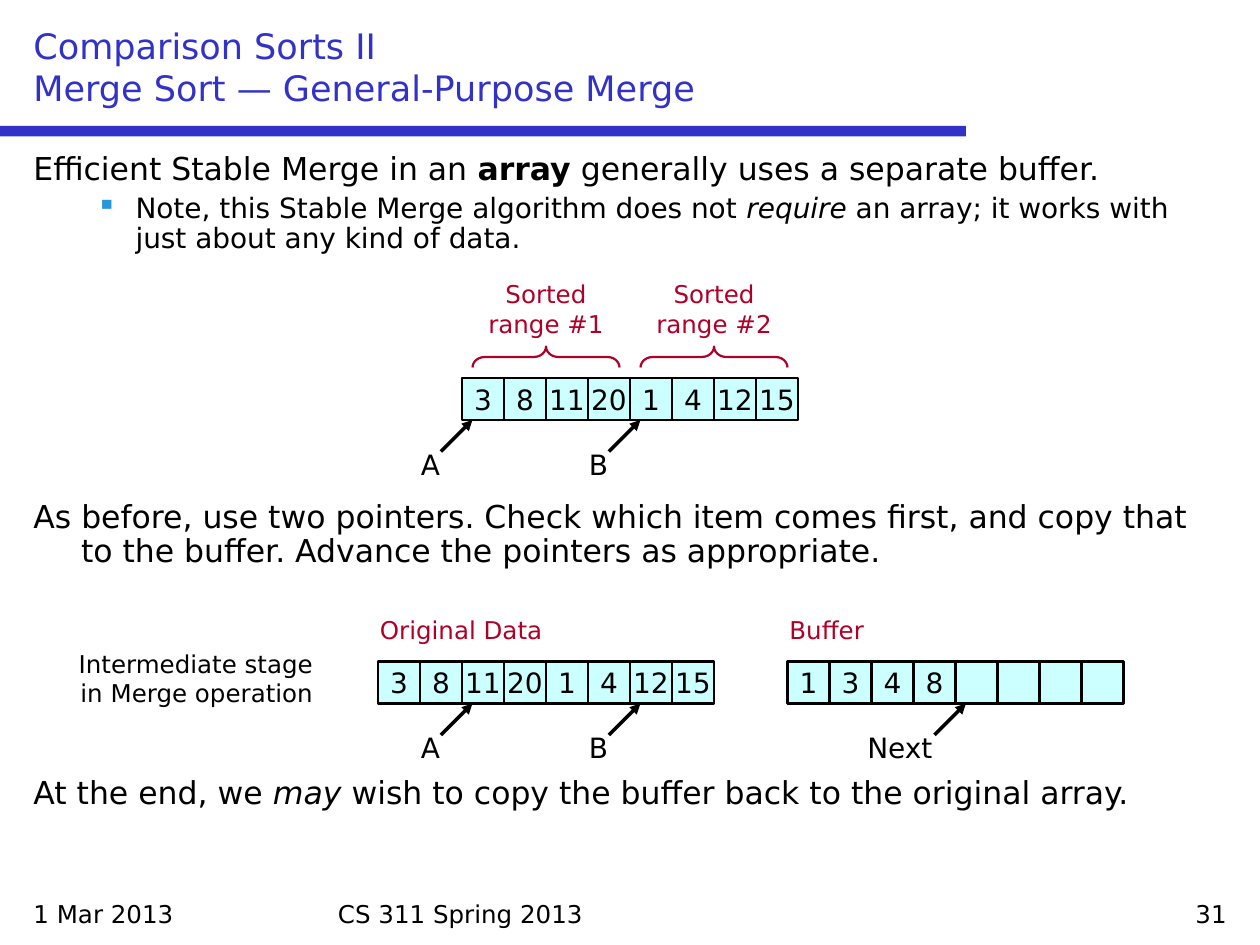
import pptx
import pptx.util
import pptx.dml.color
import pptx.enum.shapes
import pptx.enum.text
import pptx.oxml
import pptx.oxml.ns

FONT = "DejaVu Sans"
BLACK, BLUE, RED, CYAN, BULLET = "000000", "3232C8", "AF0028", "CCFFFF", "2896DC"
SHAPE = pptx.enum.shapes.MSO_SHAPE
ALIGN = pptx.enum.text.PP_ALIGN
ANCHOR = pptx.enum.text.MSO_ANCHOR

TITLE = "Comparison Sorts II\nMerge Sort — General-Purpose Merge"
BODY = [
    dict(runs=[("Efficient Stable Merge in an ", ""), ("array", "b"),
               (" generally uses a separate buffer.", "")],
         size=18, margin=0.96, indent=-0.96, before=0),
    dict(runs=[("Note, this Stable Merge algorithm does not ", ""), ("require", "i"),
               (" an array; it works with just about any kind of data.", "")],
         size=16, margin=2.06, indent=-0.79, before=4, bullet="▪"),
    dict(runs=[("As before, use two pointers. Check which item comes first, and copy "
                "that to the buffer. Advance the pointers as appropriate.", "")],
         size=18, margin=0.96, indent=-0.96, before=141),
    dict(runs=[("At the end, we ", ""), ("may", "i"),
               (" wish to copy the buffer back to the original array.", "")],
         size=18, margin=0.96, indent=-0.96, before=119),
]
DATA = [3, 8, 11, 20, 1, 4, 12, 15]
ARRAYS = [
    (11, 9, DATA),
    (9, 15.75, DATA),
    (18.75, 15.75, [1, 3, 4, 8, "", "", "", ""]),
]
RANGES = [("Sorted\nrange #1", 11), ("Sorted\nrange #2", 15)]
POINTERS = [
    ("A", 11.25, 10, 1, ALIGN.CENTER),
    ("B", 15.25, 10, 1, ALIGN.CENTER),
    ("A", 11.25, 16.75, 1, ALIGN.CENTER),
    ("B", 15.25, 16.75, 1, ALIGN.CENTER),
    ("Next", 23, 16.75, 2, ALIGN.RIGHT),
]
LABELS = [
    ("Original Data", (8.75, 14.5, 5.5, 1), RED, ALIGN.LEFT),
    ("Buffer", (18.5, 14.5, 5.5, 1), RED, ALIGN.LEFT),
    ("Intermediate stage in Merge operation", (1.25, 15.3, 6.5, 1.75), BLACK, ALIGN.RIGHT),
    ("1 Mar 2013", (0.5, 21.25, 7, 1), BLACK, ALIGN.LEFT),
    ("CS 311 Spring 2013", (7.75, 21.25, 14.5, 1), BLACK, ALIGN.LEFT),
    ("31", (22.5, 21.25, 7, 1), BLACK, ALIGN.RIGHT),
]


def cells(n):
    return pptx.util.Cm(n * 25.4 / 30)


def box(*at):
    return [cells(n) for n in at]


def rgb(color):
    return pptx.dml.color.RGBColor.from_string(color)


def add_run(p, text, size, color=BLACK, style=""):
    r = p.add_run()
    r.text = text
    r.font.name, r.font.size = FONT, pptx.util.Pt(size)
    r.font.color.rgb = rgb(color)
    if style:
        r.font.bold, r.font.italic = style == "b", style == "i"


def write(sp, text, size=14, color=BLACK, align=ALIGN.LEFT, anchor=ANCHOR.TOP,
          wrap=True, inset=0.25):
    tf = sp.text_frame
    tf.word_wrap, tf.vertical_anchor = wrap, anchor
    tf.margin_left = tf.margin_right = pptx.util.Cm(inset)
    tf.margin_top = tf.margin_bottom = pptx.util.Cm(0.13)
    p = tf.paragraphs[0]
    p.alignment = align
    for i, line in enumerate(text.split("\n")):
        if i:
            p.add_line_break()
        add_run(p, line, size, color)


def add_text(s, text, at, **fmt):
    write(s.shapes.add_textbox(*box(*at)), text, **fmt)


def add_shape(s, kind, at, fill=None, line=None):
    sp = s.shapes.add_shape(kind, *box(*at))
    sp.shadow.inherit = False
    if fill:
        sp.fill.solid()
        sp.fill.fore_color.rgb = rgb(fill)
    else:
        sp.fill.background()
    if line:
        sp.line.color.rgb, sp.line.width = rgb(line), pptx.util.Pt(1.25)
    else:
        sp.line.fill.background()
    return sp


def child(parent, tag, **attrs):
    el = pptx.oxml.ns.qn("a:" + tag)
    el = parent.makeelement(el, attrs)
    parent.append(el)
    return el


def add_body(s):
    tf = s.shapes.add_textbox(*box(0.5, 3.5, 29, 17.5)).text_frame
    tf.word_wrap = True
    for i, item in enumerate(BODY):
        p = tf.add_paragraph() if i else tf.paragraphs[0]
        pPr = p._p.get_or_add_pPr()
        pPr.set("marL", str(pptx.util.Cm(item["margin"])))
        pPr.set("indent", str(pptx.util.Cm(item["indent"])))
        if "bullet" in item:
            p.level = 1
            child(child(pPr, "buClr"), "srgbClr", val=BULLET)
            child(pPr, "buChar", char=item["bullet"])
        p.line_spacing = 0.9
        p.space_before = pptx.util.Pt(item["before"])
        for text, style in item["runs"]:
            add_run(p, text, item["size"], style=style)


def add_array(s, left, top, values):
    for i, value in enumerate(values):
        sp = add_shape(s, SHAPE.RECTANGLE, (left + i, top, 1, 1), CYAN, BLACK)
        if value != "":
            write(sp, str(value), size=16, align=ALIGN.CENTER, anchor=ANCHOR.MIDDLE, wrap=False)


def add_range(s, text, left):
    sp = add_shape(s, SHAPE.LEFT_BRACE, (left + 1.75, 6.75, 0.5, 3.5), line=RED)
    sp.rotation = 90
    sp.adjustments[0] = 0.58
    add_text(s, text, (left, 6.5, 4, 1.75), color=RED, align=ALIGN.CENTER)


def add_pointer(s, text, x, y, width, align):
    cn = s.shapes.add_connector(pptx.enum.shapes.MSO_CONNECTOR.STRAIGHT,
                                *box(x - 0.75, y + 0.75, x, y))
    cn.line.color.rgb, cn.line.width = rgb(BLACK), pptx.util.Pt(2)
    child(cn.line._get_or_add_ln(), "tailEnd", type="triangle")
    child(cn._element.spPr, "effectLst")
    right = x - 0.5 if width == 1 else x - 0.8
    add_text(s, text, (right - width, y + 0.5, width, 1.1), size=16, align=align, inset=0)


def main():
    prs = pptx.Presentation()
    prs.slide_width, prs.slide_height = box(30, 22.5)
    s = prs.slides.add_slide(prs.slide_layouts[5])
    title = s.shapes.title
    title.left, title.top, title.width, title.height = box(0.5, 0.5, 29, 2.25)
    write(title, TITLE, size=20, color=BLUE, anchor=ANCHOR.BOTTOM)
    add_shape(s, SHAPE.RECTANGLE, (0, 3, 23, 0.25), fill=BLUE)
    add_body(s)
    for array in ARRAYS:
        add_array(s, *array)
    for item in RANGES:
        add_range(s, *item)
    for pointer in POINTERS:
        add_pointer(s, *pointer)
    for text, at, color, align in LABELS:
        add_text(s, text, at, color=color, align=align)
    prs.save("out.pptx")


if __name__ == "__main__":
    main()
